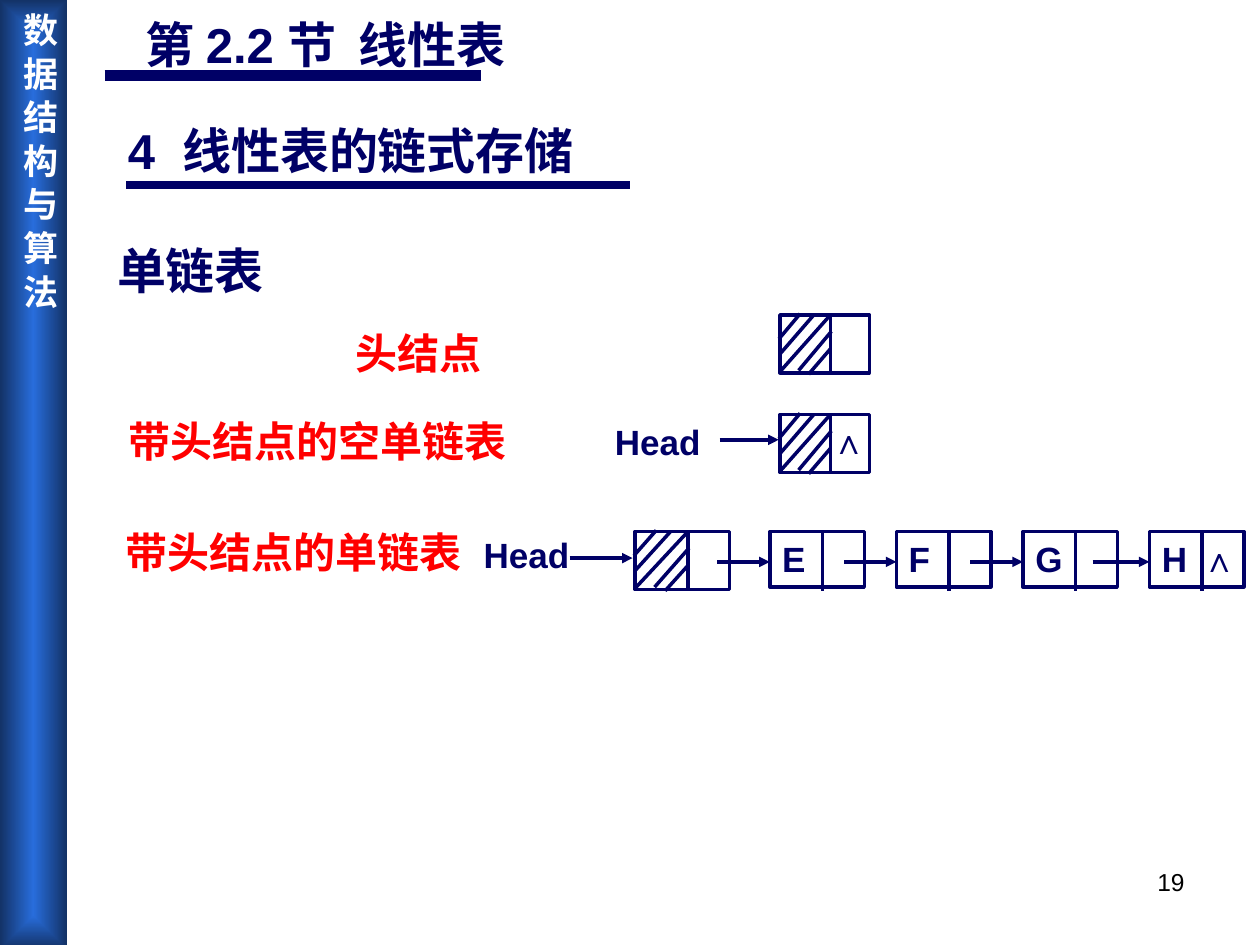
from lxml import etree
from pptx import Presentation
from pptx import util as u
from pptx.dml import color
from pptx.enum import shapes, text
from pptx.oxml import ns

Pt = u.Pt
NAVY, RED, WHITE, BLACK = "000066", "FF0000", "FFFFFF", "000000"
LATIN, HAN = "Arial", "Noto Sans CJK SC"
HATCH = [(0.4, -0.7, -0.02, 13.7), (0.67, 0, 0, 22.3), (1, 0, 0, 32.4),
         (1.02, 9.4, 0.37, 31.7), (1, 19.4, 0.57, 33.8)]


def rgb(code):
    return color.RGBColor.from_string(code)


def sub(node, tag, **attrs):
    return etree.SubElement(node, ns.qn(tag), attrs)


def write(shape, words, size=20, ink=NAVY, bold=True, font=LATIN, east=HAN,
          align="LEFT", wrap=True, grow=True):
    frame = shape.text_frame
    frame.word_wrap = wrap
    frame.vertical_anchor = text.MSO_ANCHOR.TOP
    if grow:
        frame.auto_size = text.MSO_AUTO_SIZE.SHAPE_TO_FIT_TEXT
    para = frame.paragraphs[0]
    para.alignment = getattr(text.PP_ALIGN, align)
    run = para.add_run()
    run.text = words
    run.font.size = Pt(size)
    run.font.bold = bold
    run.font.name = font
    run.font.color.rgb = rgb(ink)
    sub(run.font._element, "a:ea", typeface=east)


def label(slide, box, words, **style):
    write(slide.shapes.add_textbox(*map(Pt, box)), words, **style)


def line(slide, x1, y1, x2, y2, width=2, arrow=False):
    link = slide.shapes.add_connector(
        shapes.MSO_CONNECTOR.STRAIGHT, Pt(x1), Pt(y1), Pt(x2), Pt(y2))
    link.line.color.rgb = rgb(NAVY)
    link.line.width = Pt(width)
    if arrow:
        sub(link.line._get_or_add_ln(), "a:tailEnd", type="triangle")
    sub(link._element.spPr, "a:effectLst")


def block(slide, box):
    rect = slide.shapes.add_shape(shapes.MSO_SHAPE.RECTANGLE, *map(Pt, box))
    rect.shadow.inherit = False
    rect.fill.background()
    return rect


def cell(slide, box, split, words=None):
    x, y, w, h = box
    rect = block(slide, box)
    rect.line.color.rgb = rgb(NAVY)
    rect.line.width = Pt(2)
    if words:
        write(rect, words)
    line(slide, x + split, y, x + split, y + 33.8)


def head(slide, box, split):
    x, y, w, h = box
    cell(slide, box, split)
    for x1, y1, x2, y2 in HATCH:
        line(slide, x + x1 * split, y + y1, x + x2 * split, y + y2)


def side(slide, box):
    bar = block(slide, box)
    bar.line.fill.background()
    bar.fill.gradient()
    grad = bar._element.spPr.find(ns.qn("a:gradFill"))
    for part in list(grad):
        grad.remove(part)
    stops = sub(grad, "a:gsLst")
    for pos, code in (("0", "286DDC"), ("100000", "133266")):
        sub(sub(stops, "a:gs", pos=pos), "a:srgbClr", val=code)
    sub(sub(grad, "a:path", path="rect"), "a:fillToRect",
        l="50000", t="50000", r="50000", b="50000")
    frame = bar.text_frame
    frame.margin_left = frame.margin_right = Pt(3.6)
    frame.margin_top = frame.margin_bottom = Pt(7.2)
    frame._txBody.bodyPr.set("vert", "eaVert")
    write(bar, "数 据 结 构 与 算 法", ink=WHITE, font=HAN, align="CENTER")


def titles(slide, box):
    x, y, w, h = box
    line(slide, x, y + 38.2, x + 215.3, y + 38.2, width=6)
    label(slide, (x + 16.5, y, w, h), "第 2.2 节  线性表", size=28)
    label(slide, (x + 6.2, y + 60.5, 316, h), "4  线性表的链式存储", size=28)
    line(slide, x + 12.2, y + 100.8, x + 300.2, y + 100.8, width=4.25)
    label(slide, (x, y + 128.9, 136, h), "单链表", size=28)


def empty(slide, box):
    x, y, w, h = box
    label(slide, (x, y, 63.4, 31.7), "Head", wrap=False)
    line(slide, x + 67, y + 14.4, x + 100.8, y + 14.4, arrow=True)
    head(slide, (x + 101.5, y, 51.1, h), 28.8)
    label(slide, (x + 123.8, y - 0.7, 34.6, 31.7), "∧", wrap=False, east=LATIN)


def chain(slide, box):
    x, y, w, h = box
    label(slide, (x, y - 2.2, 79.2, 31.7), "Head")
    line(slide, x + 56.2, y + 15.1, x + 92.2, y + 15.1, arrow=True)
    head(slide, (x + 93.6, y, 54, 33.1), 30.2)
    first, step = x + 170.6, 72.3
    for i, (name, gap) in enumerate(zip("EFGH", (30, 29.9, 30, 32.4))):
        left = first + i * step
        cell(slide, (left, y, 54, h), 30.2, name)
        line(slide, left - gap, y + 17.3, left, y + 17.3, arrow=True)
    label(slide, (x + 410.4, y, 36.7, 31.7), "∧", east=LATIN)


def main():
    deck = Presentation()
    deck.slide_width, deck.slide_height = Pt(720), Pt(540)
    slide = deck.slides.add_slide(deck.slide_layouts[6])
    side(slide, (0, 0, 38.2, 542.2))
    label(slide, (516.2, 491.8, 167.8, 37.4), "19", size=14, ink=BLACK,
          bold=False, align="RIGHT", grow=False)
    titles(slide, (59.8, 5, 430.6, 41))
    for box, words in (((195.8, 183.6, 108.7, 36), "头结点"),
                       ((66.2, 234, 290.9, 36), "带头结点的空单链表"),
                       ((64.8, 297.4, 260.6, 36), "带头结点的单链表")):
        label(slide, box, words, size=24, ink=RED)
    head(slide, (445.7, 180, 51.1, 33.1), 28.8)
    empty(slide, (344.2, 236.9, 158.4, 33.1))
    chain(slide, (269.3, 303.8, 447.1, 31.7))
    deck.save("out.pptx")


if __name__ == "__main__":
    main()
